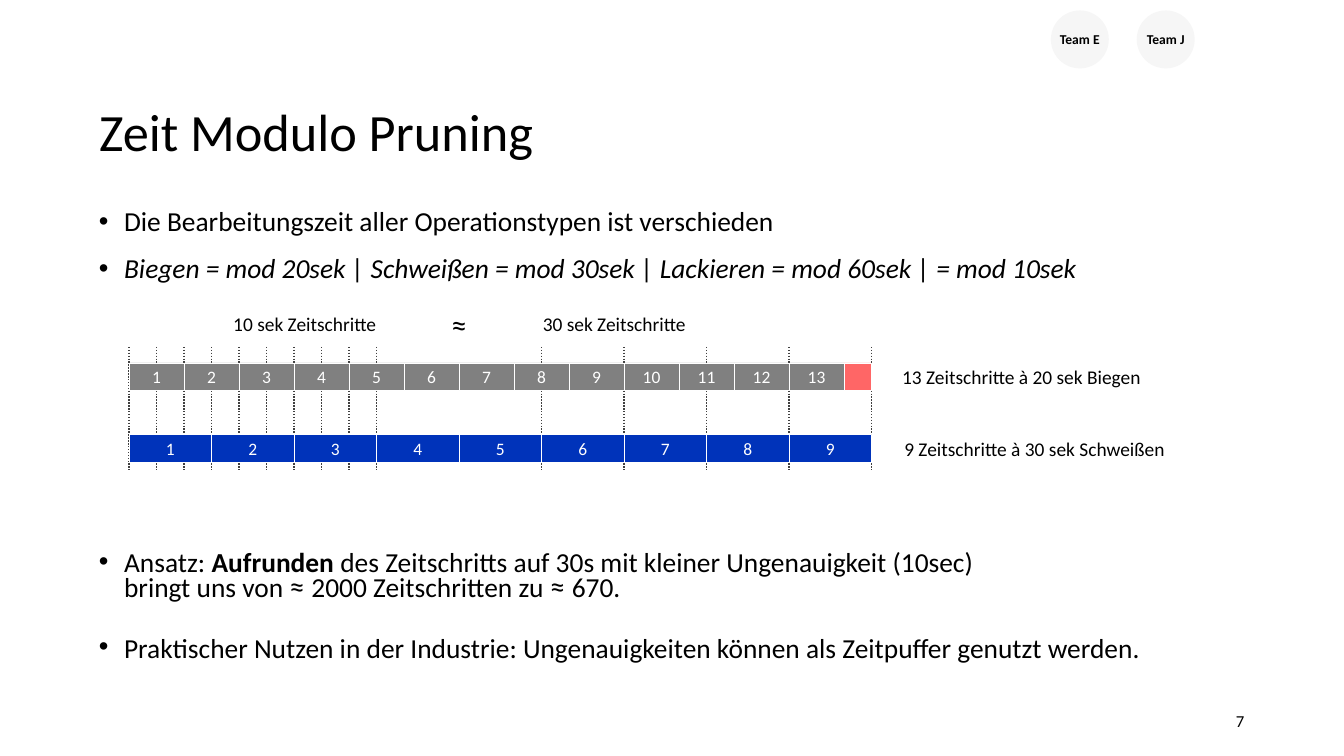
from lxml import etree
from pptx import Presentation
from pptx.dml.color import RGBColor
from pptx.enum.dml import MSO_LINE
from pptx.enum.shapes import MSO_CONNECTOR, MSO_SHAPE
from pptx.enum.text import MSO_ANCHOR, MSO_AUTO_SIZE, PP_ALIGN
from pptx.oxml.ns import qn
from pptx.util import Inches, Pt

LEFT, CENTER, RIGHT = PP_ALIGN.LEFT, PP_ALIGN.CENTER, PP_ALIGN.RIGHT
TOP, MIDDLE, BOTTOM = MSO_ANCHOR.TOP, MSO_ANCHOR.MIDDLE, MSO_ANCHOR.BOTTOM
NO_FIT = MSO_AUTO_SIZE.NONE
DOTTED = MSO_LINE.ROUND_DOT
STRAIGHT = MSO_CONNECTOR.STRAIGHT
RECT, OVAL = MSO_SHAPE.RECTANGLE, MSO_SHAPE.OVAL

FONT = "Calibri"
BODY_SIZE = 28.3
APPROX_SIZE = 30.8
BLACK, WHITE, GRAY, BLUE, RED = "000000", "FFFFFF", "808080", "0033BA", "FF0000"
TICK_COLOR, BADGE_COLOR = "404040", "F6F6F6"

TICKS = [*range(10), *range(15, 28, 3)]
TOTAL_STEPS = 27


def rgb(value):
    return RGBColor.from_string(value)


def add_text(p, text, size=20, color=BLACK, bold=False, italic=False, align=None):
    r = p.add_run()
    r.text = text
    r.font.name = FONT
    r.font.size = Pt(size)
    r.font.color.rgb = rgb(color)
    r.font.bold = bold
    r.font.italic = italic
    if align is not None:
        p.alignment = align


def add_box(s, box, anchor=TOP):
    tf = s.shapes.add_textbox(*map(Inches, box)).text_frame
    tf.word_wrap = True
    tf.vertical_anchor = anchor
    return tf


def add_label(s, box, text, anchor=TOP, **fmt):
    add_text(add_box(s, box, anchor).paragraphs[0], text, **fmt)


def add_block(s, kind, box, fill, text="", line=None, alpha=None, **fmt):
    sp = s.shapes.add_shape(kind, *map(Inches, box))
    sp.shadow.inherit = False
    sp.fill.solid()
    sp.fill.fore_color.rgb = rgb(fill)
    if alpha:
        color = sp.fill._xPr.find(qn("a:solidFill"))[0]
        etree.SubElement(color, qn("a:alpha"), val=str(alpha * 1000))
    if line:
        sp.line.color.rgb = rgb(line)
        sp.line.width = Pt(1)
    else:
        sp.line.fill.background()
    if text:
        tf = sp.text_frame
        tf.margin_left = tf.margin_right = tf.margin_top = tf.margin_bottom = 0
        tf.word_wrap = False
        tf.vertical_anchor = MIDDLE
        add_text(tf.paragraphs[0], text, align=CENTER, **fmt)


def add_title(s, box, text):
    sp = s.shapes.title
    sp.left, sp.top, sp.width, sp.height = map(Inches, box)
    tf = sp.text_frame
    tf.auto_size = NO_FIT
    tf.vertical_anchor = BOTTOM
    p = tf.paragraphs[0]
    p.line_spacing = 0.9
    add_text(p, text, size=54, align=LEFT)


def add_bullets(s, box, bullets, line_spacing=1.0, gap=14.4):
    tf = add_box(s, box)
    for i, lines in enumerate(bullets):
        p = tf.add_paragraph() if i else tf.paragraphs[0]
        pPr = p._p.get_or_add_pPr()
        pPr.set("marL", str(Inches(0.36)))
        pPr.set("indent", str(Inches(-0.36)))
        etree.SubElement(pPr, qn("a:buFont"), typeface="Arial")
        etree.SubElement(pPr, qn("a:buChar"), char="•")
        p.line_spacing = line_spacing
        p.space_before = Pt(gap if i else 0)
        for j, runs in enumerate(lines):
            if j:
                p.add_line_break()
            for text, fmt in runs:
                add_text(p, text, **{"size": BODY_SIZE, **fmt})


def add_ticks(s, box):
    left, top, width, height = box
    for tick in TICKS:
        x = Inches(left + width * tick / TOTAL_STEPS)
        line = s.shapes.add_connector(STRAIGHT, x, Inches(top), x, Inches(top + height))
        line.line.color.rgb = rgb(TICK_COLOR)
        line.line.width = Pt(1.5)
        line.line.dash_style = DOTTED
        etree.SubElement(line._element.spPr, qn("a:effectLst"))


def add_bar(s, box, steps, fill, label, label_gap):
    left, top, width, height = box
    unit = width / TOTAL_STEPS
    count, rest = divmod(TOTAL_STEPS, steps)
    for i in range(count):
        cell = (left + i * steps * unit, top, steps * unit, height)
        add_block(s, RECT, cell, fill, str(i + 1), line=WHITE, size=18, color=WHITE)
    if rest:
        cell = (left + count * steps * unit, top, rest * unit, height)
        add_block(s, RECT, cell, RED, line=WHITE, alpha=60)
    add_label(s, (left + width + label_gap, top - 0.02, 4.18, 0.44), label)


def add_timeline(s, box):
    left, top, width, height = box
    add_ticks(s, (left, top + 0.55, width, height - 0.55))
    add_bar(s, (left, top + 0.78, width, 0.39), 2, GRAY,
            "13 Zeitschritte à 20 sek Biegen", 0.34)
    add_bar(s, (left, top + 1.81, width, 0.39), 3, BLUE,
            "9 Zeitschritte à 30 sek Schweißen", 0.37)
    add_label(s, (left + 1.16, top, 2.48, 0.44), "10 sek Zeitschritte", align=RIGHT)
    add_label(s, (left + 5.83, top, 2.48, 0.44), "30 sek Zeitschritte")
    add_label(s, (left + 3.49, top - 0.1, 2.48, 0.64), "≈", size=32, align=CENTER)


def add_badges(s, box, names):
    left, top, width, size = box
    pitch = (width - size) / (len(names) - 1)
    for i, name in enumerate(names):
        add_block(s, OVAL, (left + i * pitch, top, size, size), BADGE_COLOR, name,
                  size=14, bold=True)


def main():
    prs = Presentation()
    prs.slide_width, prs.slide_height = Inches(19.26), Inches(10.83)
    s = prs.slides.add_slide(prs.slide_layouts[5])
    add_title(s, (1.32, 0.58, 16.61, 1.8), "Zeit Modulo Pruning")
    operations = ("Biegen = mod 20sek | Schweißen = mod 30sek | "
                  "Lackieren = mod 60sek | = mod 10sek")
    add_bullets(s, (1.32, 2.88, 16.61, 1.3), [
        [[("Die Bearbeitungszeit aller Operationstypen ist verschieden", {})]],
        [[(operations, {"italic": True})]],
    ])
    approx = ("≈ ", {"size": APPROX_SIZE})
    add_bullets(s, (1.32, 7.89, 16.61, 1.86), [
        [[("Ansatz: ", {}), ("Aufrunden", {"bold": True}),
          (" des Zeitschritts auf 30s mit kleiner Ungenauigkeit (10sec)", {})],
         [("bringt uns von ", {}), approx, ("2000 Zeitschritten zu ", {}),
          approx, ("670.", {})]],
        [[("Praktischer Nutzen in der Industrie: Ungenauigkeiten können "
           "als Zeitpuffer genutzt werden.", {})]],
    ], line_spacing=0.7, gap=38.6)
    add_timeline(s, (1.85, 4.42, 10.64, 2.32))
    add_badges(s, (15.06, 0.15, 2.06, 0.83), ["Team E", "Team J"])
    add_label(s, (13.6, 10.04, 4.33, 0.58), "7", MIDDLE, size=17.3, align=RIGHT)
    prs.save("out.pptx")


if __name__ == "__main__":
    main()
